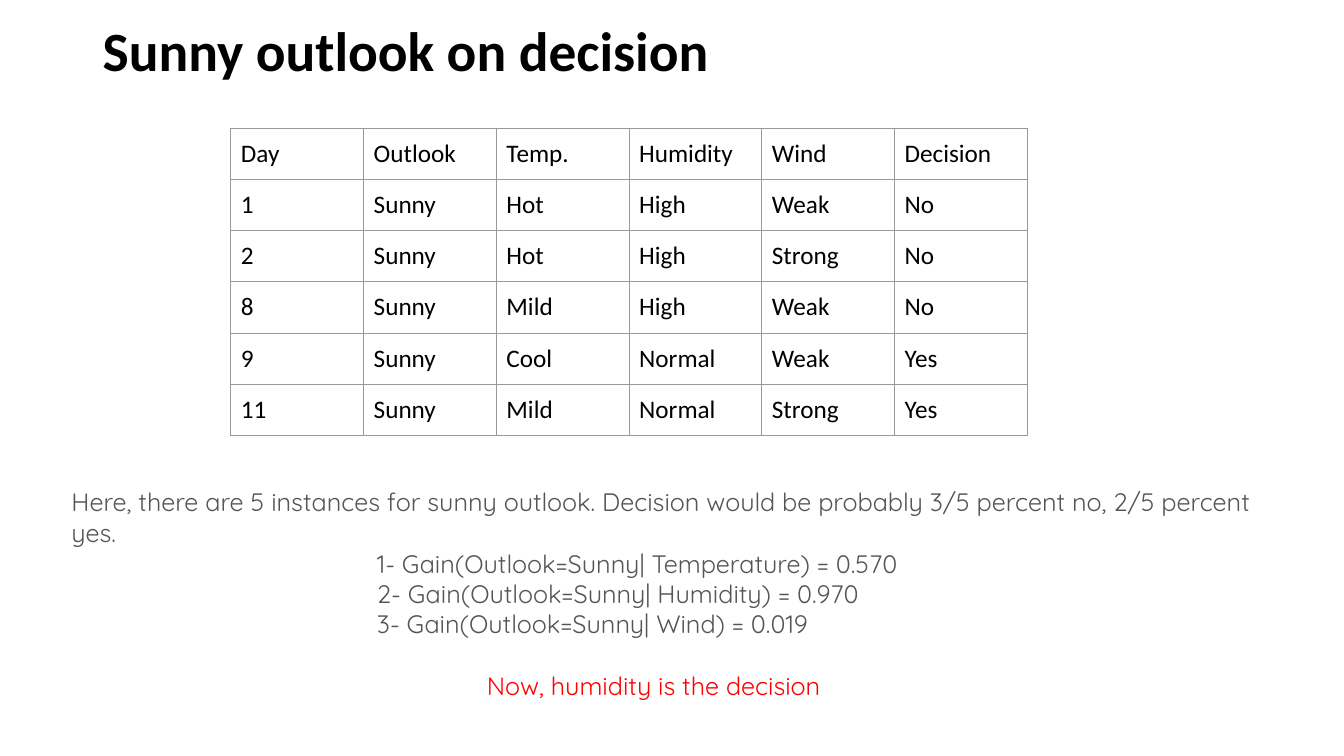
"""Build the slide on the sunny outlook branch of a decision tree."""
from dataclasses import dataclass

from lxml.etree import SubElement
from pptx import Presentation
from pptx.dml.color import RGBColor
from pptx.enum.text import MSO_ANCHOR
from pptx.oxml.ns import qn
from pptx.slide import Slide
from pptx.util import Pt

MIDDLE = MSO_ANCHOR.MIDDLE
TOP = MSO_ANCHOR.TOP
BLACK = RGBColor(0x00, 0x00, 0x00)
WHITE = RGBColor(0xFF, 0xFF, 0xFF)
GRAY = RGBColor(0x55, 0x55, 0x55)
RED = RGBColor(0xFF, 0x00, 0x00)
RULE = RGBColor(0x99, 0x99, 0x99)
SCALE = 9144
SIDES = ("a:lnL", "a:lnR", "a:lnT", "a:lnB")


@dataclass
class Line:
    text: str
    font: str = "Quicksand"
    size: float = 18
    color: RGBColor = GRAY
    bold: bool = False
    spacing: float = 1
    before: int = 0
    indent: int = 0


@dataclass
class Box:
    left: int
    top: int
    width: int
    height: int
    lines: tuple[Line, ...]
    anchor: MSO_ANCHOR = TOP
    foot: int = 5


DAYS = (
    ("Day", "Outlook", "Temp.", "Humidity", "Wind", "Decision"),
    ("1", "Sunny", "Hot", "High", "Weak", "No"),
    ("2", "Sunny", "Hot", "High", "Strong", "No"),
    ("8", "Sunny", "Mild", "High", "Weak", "No"),
    ("9", "Sunny", "Cool", "Normal", "Weak", "Yes"),
    ("11", "Sunny", "Mild", "Normal", "Strong", "Yes"),
)
TITLE = Box(92, 40, 1150, 87, (
    Line("Sunny outlook on decision", "Calibri", 39.6, BLACK, True, 0.9),
), MIDDLE, 65)
NOTE = Box(61, 478, 1211, 40, (
    Line("Here, there are 5 instances for sunny outlook. "
         "Decision would be probably 3/5 percent no, 2/5 percent yes."),
))
GAINS = Box(364, 539, 667, 162, (
    Line("1- Gain(Outlook=Sunny| Temperature) = 0.570"),
    Line("2- Gain(Outlook=Sunny| Humidity) = 0.970"),
    Line("3- Gain(Outlook=Sunny| Wind) = 0.019"),
    Line("Now, humidity is the decision", color=RED, before=22, indent=109),
))


def px(count: int) -> int:
    """Turn px into EMU."""
    return count * SCALE


def style(para, line: Line) -> None:
    """Write one line of text and format its runs."""
    para.text = line.text
    para.line_spacing = line.spacing
    if line.before:
        para.space_before = Pt(line.before)
    if line.indent:
        para._p.get_or_add_pPr().set("marL", str(px(line.indent)))
    for run in para.runs:
        run.font.name = line.font
        run.font.size = Pt(line.size)
        run.font.bold = line.bold
        run.font.color.rgb = line.color


def add_box(slide: Slide, box: Box) -> None:
    """Add a text box with its lines."""
    shape = slide.shapes.add_textbox(
        px(box.left), px(box.top), px(box.width), px(box.height))
    frame = shape.text_frame
    frame.word_wrap = True
    frame.vertical_anchor = box.anchor
    frame.margin_bottom = px(box.foot)
    for index, line in enumerate(box.lines):
        para = frame.add_paragraph() if index else frame.paragraphs[0]
        style(para, line)


def add_rules(cell) -> None:
    """Draw thin lines on all sides of a cell."""
    props = cell._tc.get_or_add_tcPr()
    for side in SIDES:
        edge = SubElement(props, qn(side), w=str(Pt(0.75)))
        fill = SubElement(edge, qn("a:solidFill"))
        SubElement(fill, qn("a:srgbClr"), val=str(RULE))


def add_days(slide: Slide) -> None:
    """Add the table of sunny days."""
    table = slide.shapes.add_table(
        len(DAYS), len(DAYS[0]), px(229), px(127), px(790), px(305)).table
    table.first_row = False
    table.horz_banding = False
    for row, day in enumerate(DAYS):
        for col, text in enumerate(day):
            cell = table.cell(row, col)
            cell.margin_left = cell.margin_right = px(10)
            cell.margin_top = cell.margin_bottom = px(10)
            cell.vertical_anchor = MIDDLE
            add_rules(cell)
            cell.fill.solid()
            cell.fill.fore_color.rgb = WHITE
            style(cell.text_frame.paragraphs[0],
                  Line(text, "Calibri", color=BLACK))


def main() -> None:
    """Build and save the slide."""
    deck = Presentation()
    deck.slide_width = px(1333)
    deck.slide_height = px(750)
    slide = deck.slides.add_slide(deck.slide_layouts[6])
    add_box(slide, TITLE)
    add_days(slide)
    for box in (NOTE, GAINS):
        add_box(slide, box)
    deck.save("out.pptx")


if __name__ == "__main__":
    main()
